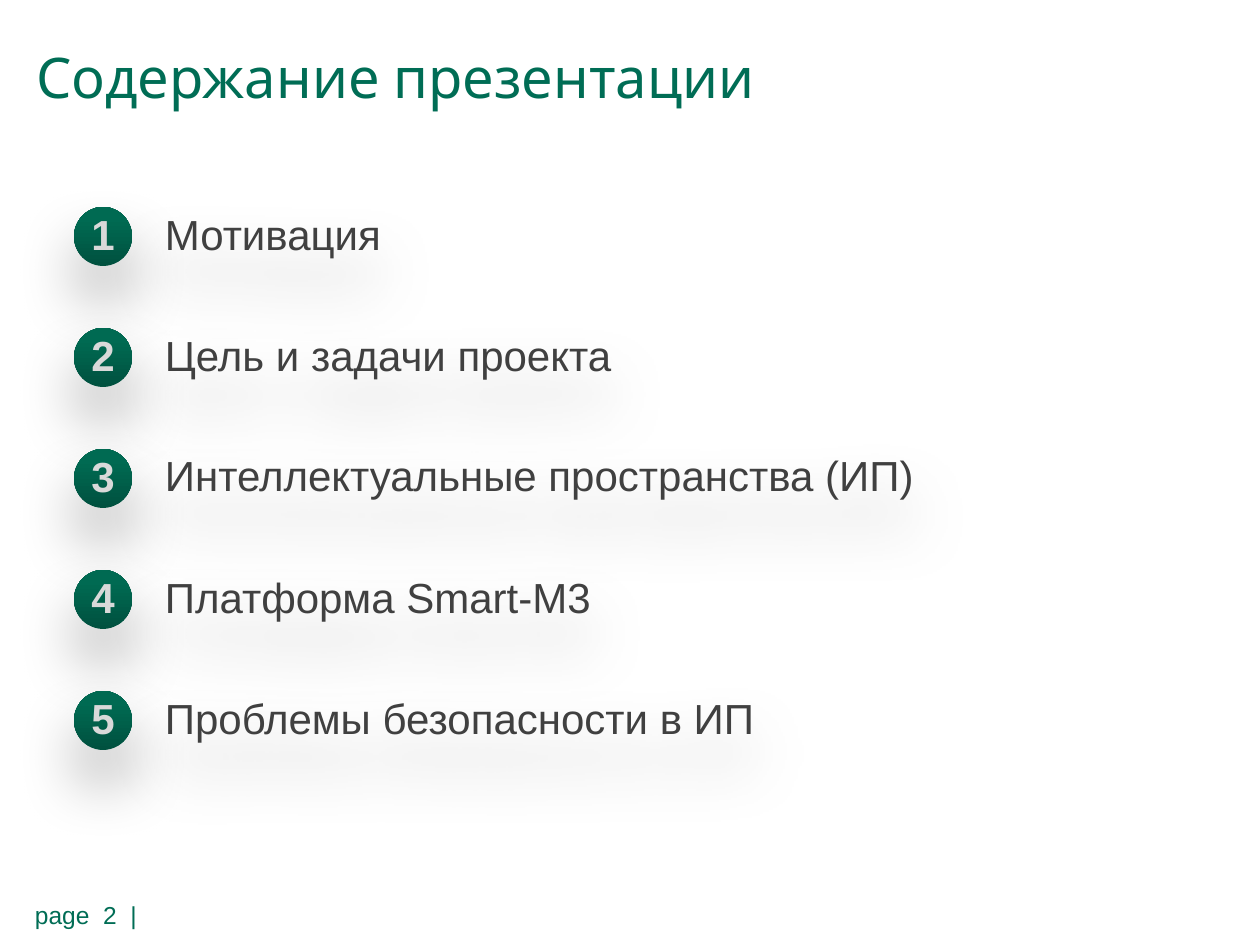
import pptx
import pptx.util
import pptx.dml.color
import pptx.enum.shapes
import pptx.enum.text
import pptx.oxml
import pptx.oxml.ns

EMU_PER_PX = 914400 / 126
COLORS = {
    "brand": "006D55",
    "body": "404040",
    "badge_dark": "00513F",
    "badge_mid": "006A52",
    "badge_light": "006A53",
    "digit_gray": "D9D9D9",
    "white": "FFFFFF",
    "shadow": "000000",
}
BADGE_STOPS = [(0, "badge_dark"), (80, "badge_mid"), (100, "badge_light")]
DIGIT_STOPS = [(0, "digit_gray"), (50, "white")]
TOPICS = [
    "Мотивация",
    "Цель и задачи проекта",
    "Интеллектуальные пространства (ИП)",
    "Платформа Smart-M3",
    "Проблемы безопасности в ИП",
]
FIRST_TOP = 207
ROW_PITCH = 121


def px(count):
    """Turn whole pixels into EMU."""
    return pptx.util.Emu(round(count * EMU_PER_PX))


def gradient(stops):
    """Return an upward linear gradient fill element."""
    marks = "".join(
        f'<a:gs pos="{percent * 1000}"><a:srgbClr val="{COLORS[name]}"/></a:gs>'
        for percent, name in stops
    )
    return pptx.oxml.parse_xml(
        f'<a:gradFill {pptx.oxml.ns.nsdecls("a")}><a:gsLst>{marks}</a:gsLst>'
        '<a:lin ang="16200000" scaled="0"/></a:gradFill>'
    )


def add_shadow(shape):
    """Give a shape a soft shadow straight below it."""
    shape.shadow.inherit = False
    effects = shape._element.spPr.find(pptx.oxml.ns.qn("a:effectLst"))
    effects.append(pptx.oxml.parse_xml(
        f'<a:outerShdw {pptx.oxml.ns.nsdecls("a")} blurRad="{pptx.util.Pt(36)}"'
        f' dist="{pptx.util.Pt(20)}" dir="5400000" algn="t" rotWithShape="0">'
        f'<a:srgbClr val="{COLORS["shadow"]}"><a:alpha val="29000"/></a:srgbClr>'
        '</a:outerShdw>'
    ))


def set_text(shape, text, size, color, font="Arial", middle=True, wrap=True):
    """Fill a shape with one formatted paragraph and return it."""
    frame = shape.text_frame
    frame.text = text
    frame.word_wrap = wrap
    frame.auto_size = pptx.enum.text.MSO_AUTO_SIZE.NONE
    frame.margin_left = frame.margin_right = 0
    frame.margin_top = frame.margin_bottom = 0
    anchors = pptx.enum.text.MSO_ANCHOR
    frame.vertical_anchor = anchors.MIDDLE if middle else anchors.TOP
    para = frame.paragraphs[0]
    para.alignment = pptx.enum.text.PP_ALIGN.LEFT
    span = para.runs[0]
    span.font.name = font
    span.font.size = pptx.util.Pt(size)
    span.font.color.rgb = pptx.dml.color.RGBColor.from_string(COLORS[color])
    return para


def add_title(page, text):
    """Place the slide title in its placeholder."""
    title = page.shapes.title
    title.left, title.top, title.width, title.height = map(px, (36, 23, 1187, 106))
    set_text(title, text, 32, "brand", font="Karla")


def add_page_label(page, text):
    """Add the page label at the bottom left."""
    box = page.shapes.add_textbox(*map(px, (35, 890, 139, 50)))
    set_text(box, text, 14, "brand")


def add_topic(page, top, text):
    """Add the text line of one topic."""
    box = page.shapes.add_textbox(*map(px, (103, top, 1121, 59)))
    add_shadow(box)
    para = set_text(box, text, 24, "body", middle=False)
    properties = para._p.get_or_add_pPr()
    properties.set("marL", str(px(62)))
    properties.set("indent", "0")


def add_badge(page, top, number):
    """Add the numbered circle of one topic."""
    oval = pptx.enum.shapes.MSO_SHAPE.OVAL
    badge = page.shapes.add_shape(oval, *map(px, (74, top, 58, 59)))
    badge._element.spPr.append(gradient(BADGE_STOPS))
    badge.line.fill.background()
    add_shadow(badge)
    para = set_text(badge, str(number), 24, "digit_gray", wrap=False)
    para.alignment = pptx.enum.text.PP_ALIGN.CENTER
    para.line_spacing = 0.9
    span = para.runs[0]
    span.font.bold = True
    span.font.fill.background()
    properties = span._r.get_or_add_rPr()
    blank = properties.find(pptx.oxml.ns.qn("a:noFill"))
    properties.replace(blank, gradient(DIGIT_STOPS))


def main():
    """Build and save the contents slide."""
    deck = pptx.Presentation()
    deck.slide_width, deck.slide_height = px(1260), px(945)
    page = deck.slides.add_slide(deck.slide_layouts[5])
    add_page_label(page, "page  2  |")
    add_title(page, "Содержание презентации")
    for index, topic in enumerate(TOPICS):
        top = FIRST_TOP + index * ROW_PITCH
        add_topic(page, top + 1, topic)
        add_badge(page, top, index + 1)
    deck.save("out.pptx")


if __name__ == "__main__":
    main()
